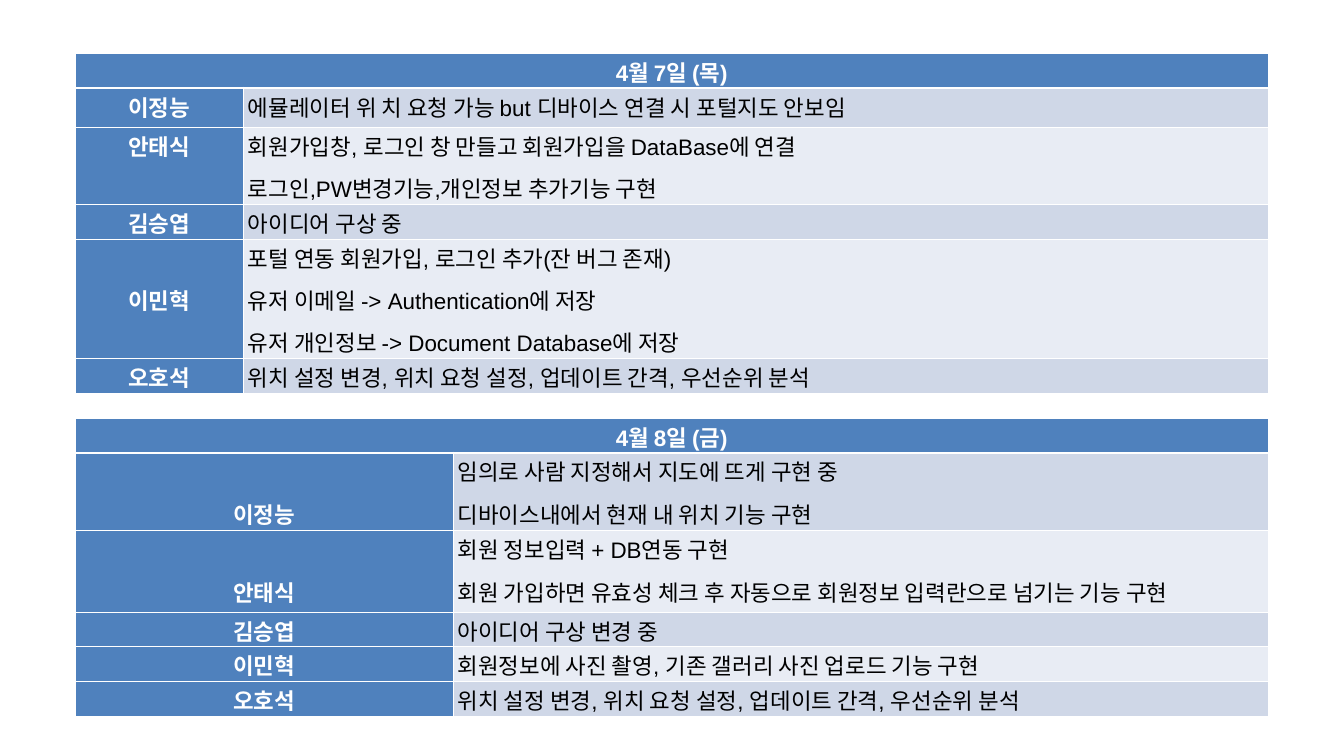
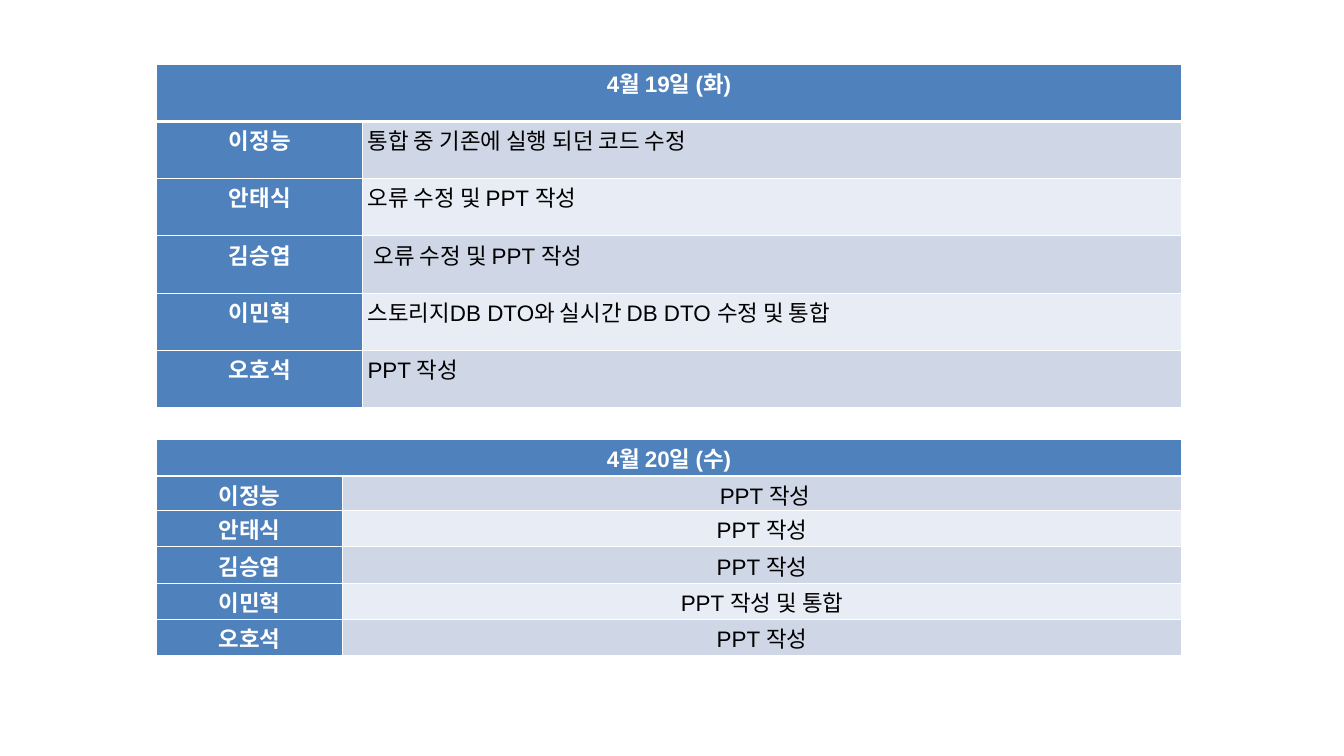
from dataclasses import dataclass

from lxml.etree import SubElement
from pptx import Presentation
from pptx.dml.color import RGBColor
from pptx.enum.text import PP_ALIGN
from pptx.oxml.ns import qn
from pptx.util import Inches, Pt

BLUE, WHITE, BLACK = "4F81BD", "FFFFFF", "000000"
BANDS = ("CFD7E7", "E8ECF4")
LATIN, KOREAN = "Arial", "Noto Sans CJK KR"
INSET, INDENT, LOWERED = 0.07, 0.16, 0.63
HEADING = {"size": Pt(24), "bold": True, "name": LATIN}
BODY = {"size": Pt(24), "bold": False, "name": LATIN}


@dataclass
class Entry:
    """One member's row in a daily log."""
    member: str
    lines: tuple
    height: float
    member_top: float = 0
    text_left: float = INSET
    font: str = LATIN


@dataclass
class Box:
    """Position of a log and the widths of its two columns, in inches."""
    left: float
    top: float
    member_width: float
    work_width: float


def color(value):
    """Turn a hex string into a colour."""
    return RGBColor.from_string(value)


def set_values(target, values):
    """Set each named attribute of the target."""
    for name, value in values.items():
        setattr(target, name, value)


def draw_borders(cell, top=1, bottom=1):
    """Give a cell white borders, with its own top and bottom widths."""
    properties = cell._tc.get_or_add_tcPr()
    for side, width in {"L": 1, "R": 1, "T": top, "B": bottom}.items():
        line = SubElement(properties, qn(f"a:ln{side}"), w=str(Pt(width)))
        fill = SubElement(line, qn("a:solidFill"))
        SubElement(fill, qn("a:srgbClr"), val=WHITE)


def fill_cell(cell, lines, fill, text_color, formats, align, top=0, left=INSET):
    """Write paragraphs into a cell and colour it."""
    set_values(cell, {"margin_left": Inches(left), "margin_right": Inches(INSET),
                      "margin_top": Inches(top), "margin_bottom": 0})
    cell.fill.solid()
    cell.fill.fore_color.rgb = color(fill)
    frame = cell.text_frame
    for index, line in enumerate(lines):
        para = frame.add_paragraph() if index else frame.paragraphs[0]
        set_values(para, {"alignment": align, "line_spacing": 1.07,
                          "space_before": Pt(8 if index else 0)})
        span = para.add_run()
        span.text = line
        set_values(span.font, formats)
        span.font.color.rgb = color(text_color)


def add_log(page, box, date, header_height, entries, work_align=PP_ALIGN.JUSTIFY):
    """Add one day's log as a table with a merged date header."""
    heights = [header_height] + [entry.height for entry in entries]
    widths = (box.member_width, box.work_width)
    table = page.shapes.add_table(
        len(heights), 2, Inches(box.left), Inches(box.top),
        Inches(sum(widths)), Inches(sum(heights))).table
    for column, width in zip(table.columns, widths):
        column.width = Inches(width)
    for index, (row, height) in enumerate(zip(table.rows, heights)):
        row.height = Inches(height)
        for cell in row.cells:
            draw_borders(cell, 3 if index == 1 else 1, 3 if index == 0 else 1)
    header = table.cell(0, 0)
    header.merge(table.cell(0, 1))
    fill_cell(header, [date], BLUE, WHITE, HEADING, PP_ALIGN.CENTER)
    for index, entry in enumerate(entries):
        member, work = table.rows[index + 1].cells
        fill_cell(member, [entry.member], BLUE, WHITE, HEADING,
                  PP_ALIGN.CENTER, top=entry.member_top)
        fill_cell(work, entry.lines, BANDS[index % 2], BLACK,
                  {**BODY, "name": entry.font}, work_align, left=entry.text_left)


def add_first_week(page):
    """Place the logs of 7 and 8 April."""
    settings = ("위치 설정 변경, 위치 요청 설정, 업데이트 간격, 우선순위 분석",)
    add_log(page, Box(1.12, 0.79, 2.5, 15.25), "4월 7일 (목)", 0.41, [
        Entry("이정능", ("에뮬레이터 위 치 요청 가능 but 디바이스 연결 시 포털지도 안보임",), 0.59),
        Entry("안태식", ("회원가입창, 로그인 창 만들고 회원가입을 DataBase에 연결",
                      "로그인,PW변경기능,개인정보 추가기능 구현"), 0.94),
        Entry("김승엽", ("아이디어 구상 중",), 0.41, font=KOREAN),
        Entry("이민혁", ("포털 연동 회원가입, 로그인 추가(잔 버그 존재)",
                      "유저 이메일 -> Authentication에 저장",
                      "유저 개인정보 -> Document Database에 저장"), 1.77, LOWERED),
        Entry("오호석", settings, 0.33),
    ])
    add_log(page, Box(1.12, 6.22, 5.62, 12.13), "4월 8일 (금)", 0.43, [
        Entry("이정능", ("임의로 사람 지정해서 지도에 뜨게 구현 중",
                      "디바이스내에서 현재 내 위치 기능 구현"), 1.16, LOWERED),
        Entry("안태식", ("회원 정보입력 + DB연동 구현",
                      "회원 가입하면 유효성 체크 후 자동으로 회원정보 입력란으로 넘기는 기능 구현"),
              1.21, LOWERED),
        Entry("김승엽", ("아이디어 구상 변경 중",), 0.43, font=KOREAN),
        Entry("이민혁", ("회원정보에 사진 촬영, 기존 갤러리 사진 업로드 기능 구현",), 0.43),
        Entry("오호석", settings, 0.43),
    ])


def add_last_week(page):
    """Place the logs of 19 and 20 April."""
    slides = ("PPT 작성",)
    fixes = ("오류 수정 및 PPT 작성",)
    add_log(page, Box(2.33, 0.96, 3.07, 12.18), "4월 19일 (화)", 0.85, [
        Entry("이정능", ("통합 중 기존에 실행 되던 코드 수정",), 0.85),
        Entry("안태식", fixes, 0.85),
        Entry("김승엽", fixes, 0.85, text_left=INDENT),
        Entry("이민혁", ("스토리지DB DTO와 실시간 DB DTO 수정 및 통합",), 0.85),
        Entry("오호석", slides, 0.85),
    ])
    add_log(page, Box(2.33, 6.54, 2.77, 12.48), "4월 20일 (수)", 0.54, [
        Entry("이정능", slides, 0.46, text_left=INDENT),
        Entry("안태식", slides, 0.54),
        Entry("김승엽", slides, 0.54),
        Entry("이민혁", ("PPT 작성 및 통합",), 0.54),
        Entry("오호석", slides, 0.54),
    ], PP_ALIGN.CENTER)


def main():
    """Build and save the deck."""
    deck = Presentation()
    set_values(deck, {"slide_width": Inches(20), "slide_height": Inches(11.25)})
    for add_content in (add_first_week, add_last_week):
        add_content(deck.slides.add_slide(deck.slide_layouts[6]))
    deck.save("out.pptx")


if __name__ == "__main__":
    main()
